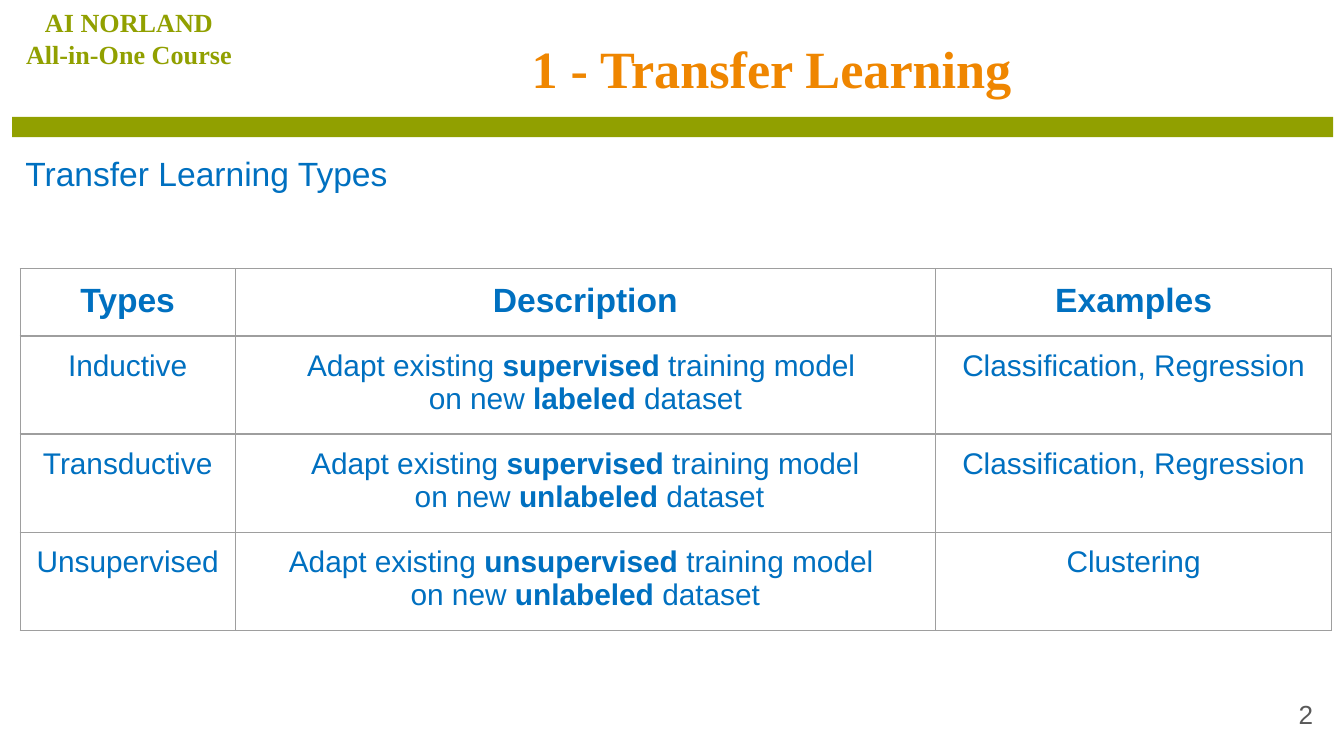
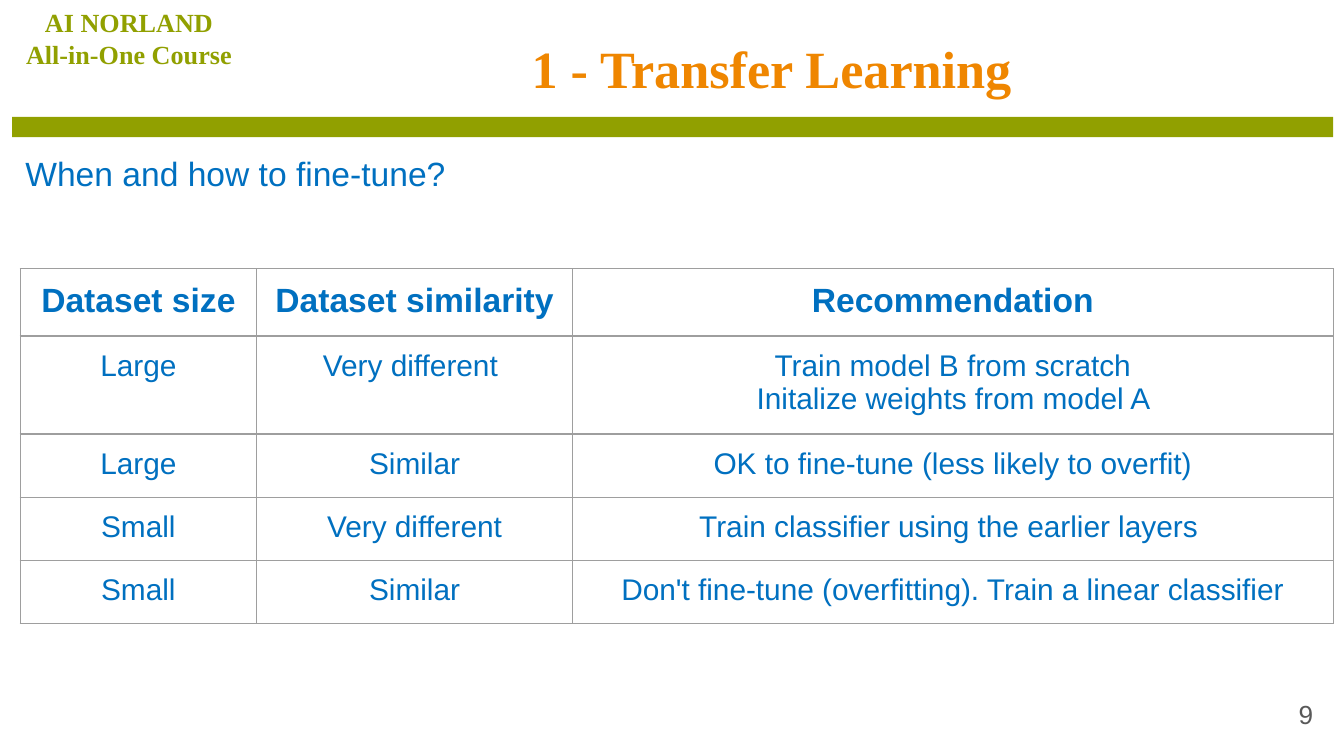
from pptx import Presentation
from pptx.dml.color import RGBColor as Rgb
from pptx.enum.shapes import MSO_SHAPE as Shape
from pptx.enum.text import MSO_ANCHOR as Anchor, MSO_AUTO_SIZE as Fit, PP_ALIGN as Align
from pptx.oxml import parse_xml
from pptx.oxml.ns import nsdecls
from pptx.util import Inches, Pt

HUES = {"title": "EF8600", "band": "91A000", "text": "0070C0",
        "page": "595959", "rule": "9E9E9E"}
SANS, SERIF = "Arial", "Times New Roman"
TITLE = "1 - Transfer Learning"
BRAND = "AI NORLAND\nAll-in-One Course"
HEAD, BASE, STEP = 0.5, 0.47, 0.26

SLIDES = [
    {
        "page": "2",
        "head": "Transfer Learning Types",
        "cols": [1.6, 5.21, 2.95],
        "rows": [
            ("Types", "Description", "Examples"),
            ("Inductive",
             "Adapt existing **supervised **training model \non new **labeled **dataset",
             "Classification, Regression"),
            ("Transductive",
             "Adapt existing **supervised **training model\n on new **unlabeled **dataset",
             "Classification, Regression"),
            ("Unsupervised",
             "Adapt existing **unsupervised **training model \non new **unlabeled **dataset",
             "Clustering"),
        ],
    },
    {
        "page": "9",
        "head": "When and how to fine-tune?",
        "cols": [1.76, 2.35, 5.66],
        "rows": [
            ("Dataset size", "Dataset similarity", "Recommendation"),
            ("Large", "Very different ",
             "Train model B from scratch\n Initalize weights from model A "),
            ("Large", "Similar", "OK to fine-tune (less likely to overfit)"),
            ("Small", "Very different", "Train classifier using the earlier layers "),
            ("Small", "Similar",
             "Don't fine-tune (overfitting). Train a linear classifier"),
        ],
    },
]


def hue(name):
    return Rgb.from_string(HUES[name])


def write(frame, text, size, color, face=SANS, bold=False, align=Align.CENTER):
    for i, line in enumerate(text.split("\n")):
        para = frame.paragraphs[0] if i == 0 else frame.add_paragraph()
        para.alignment = align
        font = para.font
        font.name, font.size, font.bold = face, Pt(size), bold
        font.color.rgb = hue(color)
        for j, part in enumerate(line.split("**")):
            run = para.add_run()
            run.text = part
            if j % 2:
                run.font.bold = True


def setup(frame, pad=0.1, anchor=Anchor.TOP):
    frame.word_wrap = True
    frame.auto_size = Fit.NONE
    frame.vertical_anchor = anchor
    frame.margin_left = frame.margin_right = Inches(0.1)
    frame.margin_top = frame.margin_bottom = Inches(pad)
    return frame


def add_box(slide, at, pad=0.1, anchor=Anchor.TOP):
    return setup(slide.shapes.add_textbox(*map(Inches, at)).text_frame, pad, anchor)


def add_rules(cell):
    props = cell._tc.get_or_add_tcPr()
    for i, side in enumerate(("lnL", "lnR", "lnT", "lnB")):
        props.insert(i, parse_xml(
            f'<a:{side} {nsdecls("a")} w="{Pt(0.75)}"><a:solidFill>'
            f'<a:srgbClr val="{HUES["rule"]}"/></a:solidFill></a:{side}>'))


def add_grid(slide, cols, rows):
    highs = [HEAD] + [BASE + STEP * max(text.count("\n") for text in row) for row in rows[1:]]
    table = slide.shapes.add_table(
        len(rows), len(cols), Inches(0.15), Inches(2),
        Inches(sum(cols)), Inches(sum(highs))).table
    table.first_row = table.horz_banding = False
    for col, wide in zip(table.columns, cols):
        col.width = Inches(wide)
    for r, row in enumerate(rows):
        table.rows[r].height = Inches(highs[r])
        for c, text in enumerate(row):
            cell = table.cell(r, c)
            cell.fill.background()
            cell.margin_left = cell.margin_right = Inches(0.1)
            cell.margin_top = cell.margin_bottom = Inches(0.1)
            write(cell.text_frame, text, 16 if r else 18, "text", bold=r == 0)
            add_rules(cell)


def add_frame(slide, page):
    title = slide.shapes.title
    title.left, title.top, title.width, title.height = map(Inches, (2.38, 0.17, 6.72, 0.63))
    write(setup(title.text_frame), TITLE, 28, "title", SERIF, True)
    band = slide.shapes.add_shape(Shape.RECTANGLE, *map(Inches, (0.09, 0.87, 9.83, 0.15)))
    band.shadow.inherit = False
    band.fill.solid()
    band.fill.fore_color.rgb = hue("band")
    band.line.fill.background()
    write(add_box(slide, (0.09, 0, 1.74, 0.57), 0.05), BRAND, 14, "band", SERIF, True)
    write(add_box(slide, (9.27, 5.1, 0.6, 0.43), anchor=Anchor.MIDDLE),
          page, 14, "page", align=Align.RIGHT)


def main():
    deck = Presentation()
    deck.slide_width, deck.slide_height = Inches(10), Inches(10 * 9 / 16)
    for data in SLIDES:
        slide = deck.slides.add_slide(deck.slide_layouts[5])
        add_frame(slide, data["page"])
        write(add_box(slide, (0.09, 1.04, 5.71, 0.5)), data["head"], 18, "text", align=Align.LEFT)
        add_grid(slide, data["cols"], data["rows"])
    deck.save("out.pptx")


if __name__ == "__main__":
    main()
